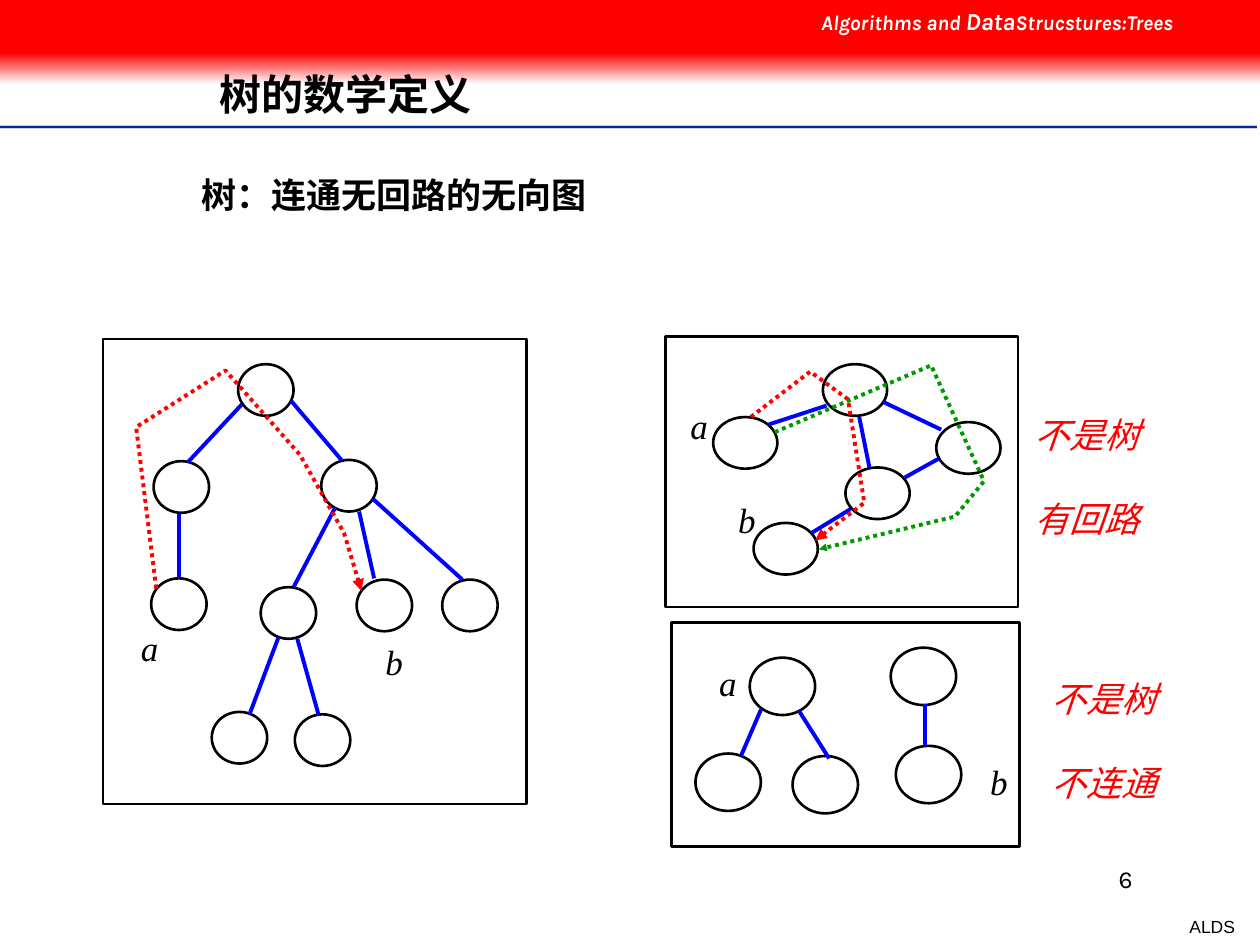
import pptx
import pptx.util
import pptx.dml.color
import pptx.enum.dml
import pptx.enum.shapes
import pptx.enum.text
import pptx.oxml.ns
from lxml import etree

Pt = pptx.util.Pt
ShapeType = pptx.enum.shapes.MSO_SHAPE
Align = pptx.enum.text.PP_ALIGN
Anchor = pptx.enum.text.MSO_ANCHOR

COLORS = {
    "black": "000000", "white": "FFFFFF", "red": "FF0000", "blue": "0000FF",
    "green": "009900", "navy": "00279F", "grey": "CECECE",
}
SERIF = "Times New Roman"

# Each diagram: frame, node size, node corners, edges, labels, verdict
DIAGRAMS = [
    {
        "frame": (59, 193.7, 241.9, 265.7),
        "node_size": (31.7, 29.5),
        "nodes": [(136.1, 208.1), (87.8, 263.5), (183.6, 262.8),
                  (86.4, 330.5), (149, 335.5), (121, 406.8),
                  (203.8, 331.2), (252.7, 331.2), (168.5, 408.2)],
        "edges": [(138.2, 231.1, 107.3, 264.2), (102.2, 293.8, 102.2, 330.5),
                  (166.3, 229, 195.1, 262.8), (191.5, 290.2, 167.8, 335.5),
                  (205.2, 292.3, 213.8, 330.5), (213.1, 285.1, 264.2, 331.2),
                  (169.9, 365, 182.2, 409), (159.1, 364.3, 142.6, 408.2)],
        "labels": {"a": (73.4, 354.2), "b": (213.1, 362.2)},
        "verdict": None,
    },
    {
        "frame": (380.2, 192.2, 201.6, 154.8),
        "node_size": (36.7, 29.5),
        "nodes": [(470.2, 208.1), (407.5, 238.3), (535, 241.2),
                  (430.6, 298.8), (483.1, 267.1)],
        "edges": [(472.3, 231.8, 439.2, 242.6), (486, 290.9, 463.7, 304.6),
                  (504.7, 229.7, 537.8, 245.5), (491, 238.3, 496.8, 267.1),
                  (536.4, 262.1, 517, 272.9)],
        "labels": {"a": (387.4, 227.5), "b": (414.7, 281.5)},
        "verdict": ("不是树\n有回路", 583.9, 232.6),
    },
    {
        "frame": (383.8, 355.7, 198.7, 128.2),
        "node_size": (37.4, 32.8),
        "nodes": [(428.4, 375.8), (397.4, 430.6), (509, 370.1),
                  (511.9, 426.2), (452.9, 432)],
        "edges": [(528.5, 402.5, 528.5, 425.5), (456.5, 406.1, 473.8, 433.4),
                  (434.9, 405.4, 423.4, 432)],
        "labels": {"a": (403.9, 374.4), "b": (558.7, 431.3)},
        "verdict": ("不是树\n不连通", 594, 383.8),
    },
]

# Dotted routes from a to b: color, arrowhead size, points
ROUTES = [
    ("red", "med", [(89.3, 336.2), (77.8, 244.1), (128.9, 211.7),
                    (171.4, 259.9), (196.6, 304.6), (206.6, 337.7)]),
    ("red", "med", [(429.1, 238.3), (463, 212.4), (484.6, 228.2),
                    (493.9, 287.3), (465.8, 308.9)]),
    ("green", "sm", [(442.8, 247), (532.1, 208.8), (562.3, 275),
                     (545.8, 295.2), (468, 313.9)]),
]


def rgb(name):
    return pptx.dml.color.RGBColor.from_string(COLORS[name])


class SlideBuilder:
    def __init__(self, slide):
        self.slide = slide
        self.outline_width = 1.5
        self.edge_width = 2.25

    def outline(self, shape, color, width):
        shape.shadow.inherit = False
        shape.fill.background()
        shape.line.color.rgb = rgb(color)
        shape.line.width = Pt(width)

    def outlined(self, kind, left, top, width, height):
        shape = self.slide.shapes.add_shape(
            kind, Pt(left), Pt(top), Pt(width), Pt(height))
        self.outline(shape, "black", self.outline_width)

    def band(self, top, height, color, fade_to=None):
        shape = self.slide.shapes.add_shape(
            ShapeType.RECTANGLE, 0, Pt(top), Pt(720), Pt(height))
        shape.shadow.inherit = False
        shape.line.fill.background()
        if fade_to is None:
            shape.fill.solid()
            shape.fill.fore_color.rgb = rgb(color)
            return
        shape.fill.gradient()
        shape.fill.gradient_angle = 270
        for stop, position, name in zip(
                shape.fill.gradient_stops, (0, 1), (color, fade_to)):
            stop.position = position
            stop.color.rgb = rgb(name)

    def line(self, start_x, start_y, end_x, end_y, color, width):
        connector = self.slide.shapes.add_connector(
            pptx.enum.shapes.MSO_CONNECTOR.STRAIGHT,
            Pt(start_x), Pt(start_y), Pt(end_x), Pt(end_y))
        connector.line.color.rgb = rgb(color)
        connector.line.width = Pt(width)
        etree.SubElement(connector._element.spPr,
                         pptx.oxml.ns.qn("a:effectLst"))

    def route(self, color, head_size, points):
        start, *rest = [(Pt(x), Pt(y)) for x, y in points]
        builder = self.slide.shapes.build_freeform(*start)
        builder.add_line_segments(rest, close=False)
        shape = builder.convert_to_shape()
        self.outline(shape, color, self.edge_width)
        shape.line.dash_style = pptx.enum.dml.MSO_LINE.ROUND_DOT
        etree.SubElement(shape.line._get_or_add_ln(),
                         pptx.oxml.ns.qn("a:tailEnd"),
                         type="triangle", w=head_size, len=head_size)

    def style_run(self, run, size, font, color, bold, italic):
        run.font.size = Pt(size)
        run.font.name = font
        run.font.bold = bold
        run.font.italic = italic
        run.font.color.rgb = rgb(color)

    def text(self, text, box, size, font="Arial", color="black", bold=False,
             italic=False, align=Align.LEFT, wrap=True, gap=0):
        shape = self.slide.shapes.add_textbox(*[Pt(length) for length in box])
        frame = shape.text_frame
        frame.text = text
        frame.word_wrap = wrap
        for index, paragraph in enumerate(frame.paragraphs):
            paragraph.alignment = align
            if index and gap:
                paragraph.space_before = Pt(gap)
            for run in paragraph.runs:
                self.style_run(run, size, font, color, bold, italic)
        return frame

    def diagram(self, frame, node_size, nodes, edges, labels, verdict):
        for corner in nodes:
            self.outlined(ShapeType.OVAL, *corner, *node_size)
        for edge in edges:
            self.line(*edge, "blue", self.edge_width)
        self.outlined(ShapeType.RECTANGLE, *frame)
        for label, corner in labels.items():
            self.text(label, (*corner, 24.5, 31.7), 20, SERIF,
                      italic=True, wrap=False)
        if verdict:
            words, left, top = verdict
            self.text(words, (left, top, 78, 79.2), 20, SERIF, "red",
                      italic=True, gap=24)


def main():
    presentation = pptx.Presentation()
    presentation.slide_width = Pt(720)
    presentation.slide_height = Pt(540)
    builder = SlideBuilder(
        presentation.slides.add_slide(presentation.slide_layouts[6]))

    # Rule under the title
    for y, color, width in ((72.7, "grey", 2), (72.7, "navy", 1),
                            (74.2, "white", 1)):
        builder.line(0, y, 718.5, y, color, width)

    # Footer
    builder.text("ALDS", (672.5, 519.8, 40.3, 19.4), 10,
                 align=Align.RIGHT, wrap=False)
    builder.text("6", (516.2, 490.3, 138.2, 36), 14, "Karla",
                 align=Align.RIGHT)

    # Header band
    builder.band(30.2, 18, "red", fade_to="white")
    builder.band(0, 30.2, "red")
    header = builder.text("Algorithms and ", (462.2, 0, 257.8, 24.5), 12,
                          "Karla", "white", bold=True, italic=True)
    for words, size in (("Data", 14), ("Strucstures:Trees", 12)):
        run = header.paragraphs[0].add_run()
        run.text = words
        builder.style_run(run, size, "Karla", "white", True, True)

    # Diagrams and routes
    for diagram in DIAGRAMS:
        builder.diagram(**diagram)
    for route in ROUTES:
        builder.route(*route)

    # Title and definition
    title = builder.text("树的数学定义", (125.3, 28.8, 563.8, 53.3), 24,
                         bold=True)
    title.margin_left = title.margin_right = 0
    title.margin_top = title.margin_bottom = 0
    title.vertical_anchor = Anchor.MIDDLE
    title.paragraphs[0].line_spacing = 0.9
    builder.text("树：连通无回路的无向图", (108, 95.8, 239.8, 67.7), 20,
                 bold=True)

    presentation.save("out.pptx")


if __name__ == "__main__":
    main()
